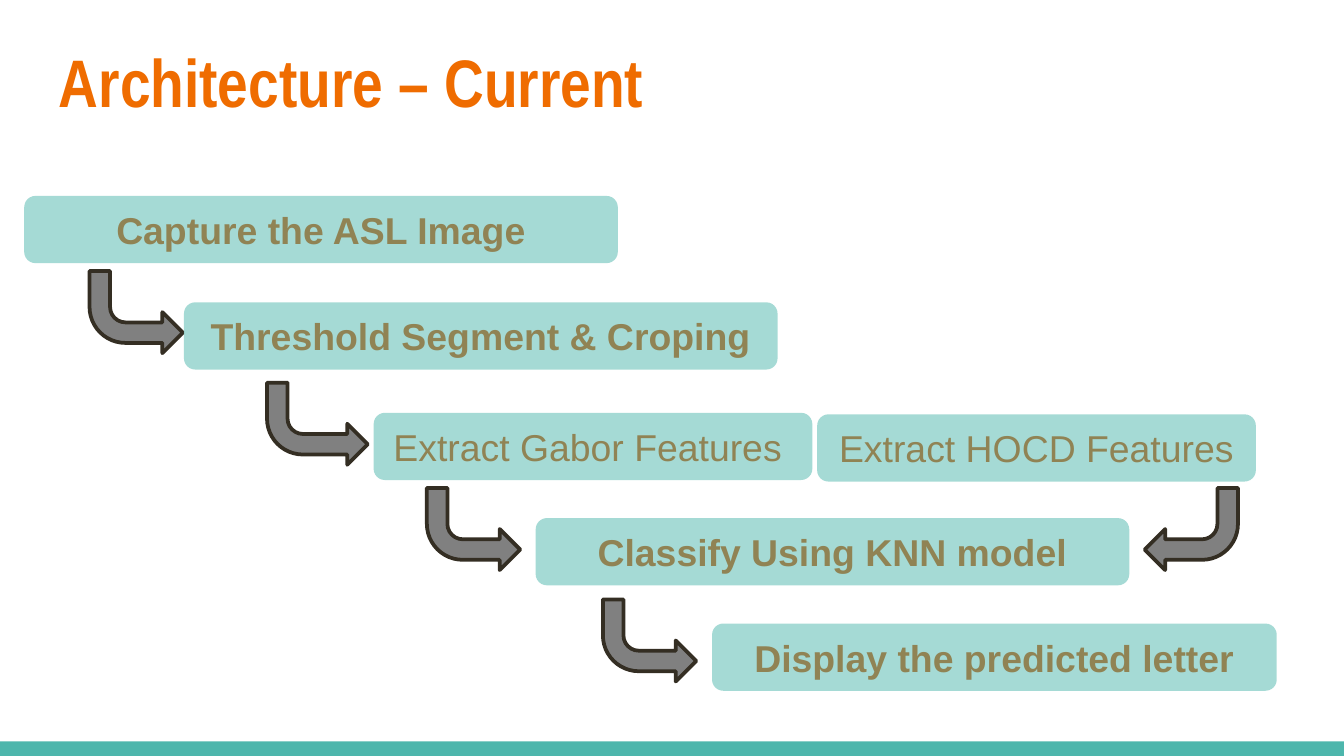
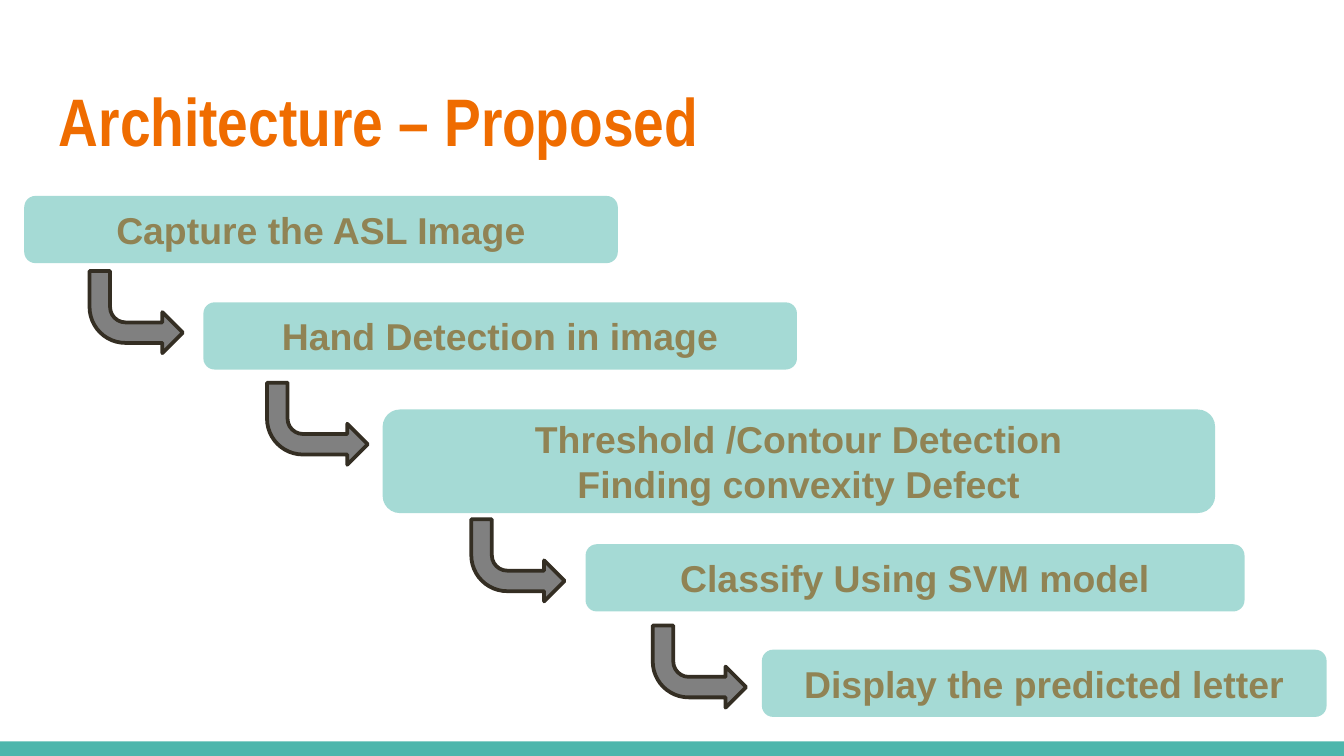
from lxml.etree import SubElement
from pptx import Presentation
from pptx.dml.color import RGBColor
from pptx.enum.shapes import MSO_SHAPE
from pptx.enum.text import MSO_ANCHOR, PP_ALIGN
from pptx.oxml.ns import qn
from pptx.util import Pt

TEAL = RGBColor(0x4D, 0xB6, 0xAC)
ORANGE = RGBColor(0xEF, 0x6C, 0x00)
KHAKI = RGBColor(0x90, 0x83, 0x54)
GRAY = RGBColor(0x80, 0x80, 0x80)
DARK = RGBColor(0x34, 0x2E, 0x23)

WIDTH, HEIGHT, BAND_HEIGHT = 720, 405, 7.8
STEP_WIDTH, STEP_HEIGHT = 318, 36
FEATURE_WIDTH, RESULT_WIDTH = 235, 302.5
ARROW_WIDTH, ARROW_HEIGHT = 50, 44


def write(frame, text, font="Arial", size=20, color=KHAKI, bold=True,
          align=PP_ALIGN.CENTER, anchor=MSO_ANCHOR.MIDDLE):
    """Fill a text frame, one paragraph per line of text."""
    frame.word_wrap = True
    frame.vertical_anchor = anchor
    frame.text = text
    for paragraph in frame.paragraphs:
        paragraph.alignment = align
        paragraph.font.name = font
        paragraph.font.size = Pt(size)
        paragraph.font.bold = bold
        paragraph.font.color.rgb = color


class FlowDeck:
    def __init__(self):
        self.deck = Presentation()
        self.deck.slide_width, self.deck.slide_height = Pt(WIDTH), Pt(HEIGHT)
        self.slide = None

    def start_slide(self, title, title_top):
        self.slide = self.deck.slides.add_slide(self.deck.slide_layouts[6])
        self.shape(MSO_SHAPE.RECTANGLE, 0, HEIGHT - BAND_HEIGHT, WIDTH, BAND_HEIGHT, TEAL)
        heading = self.slide.shapes.add_textbox(Pt(24.5), Pt(title_top), Pt(671), Pt(55.5))
        frame = heading.text_frame
        frame.margin_left = frame.margin_right = Pt(7.2)
        frame.margin_top = frame.margin_bottom = Pt(7.2)
        write(frame, title, font="Arial Narrow", size=36, color=ORANGE,
              align=PP_ALIGN.LEFT, anchor=MSO_ANCHOR.TOP)

    def shape(self, kind, left, top, width, height, fill):
        shape = self.slide.shapes.add_shape(kind, Pt(left), Pt(top), Pt(width), Pt(height))
        shape.shadow.inherit = False
        shape.fill.solid()
        shape.fill.fore_color.rgb = fill
        shape.line.fill.background()
        return shape

    def step(self, text, left, top, width=STEP_WIDTH, height=STEP_HEIGHT, bold=True):
        """Add a half-transparent rounded box for one stage of the pipeline."""
        box = self.shape(MSO_SHAPE.ROUNDED_RECTANGLE, left, top, width, height, TEAL)
        color = box._element.spPr.find(qn("a:solidFill")).find(qn("a:srgbClr"))
        SubElement(color, qn("a:alpha")).set("val", "50000")
        write(box.text_frame, text, bold=bold)

    def arrow(self, left, top, width=ARROW_WIDTH, to_right=True):
        """Add an arrow that runs down and then turns right or left."""
        arrow = self.shape(MSO_SHAPE.BENT_ARROW, left, top, width, ARROW_HEIGHT, GRAY)
        arrow.rotation = 180
        if to_right:
            arrow._element.spPr.xfrm.set("flipH", "1")
        arrow.line.color.rgb = DARK
        arrow.line.width = Pt(2)

    def opening(self, second_step, second_left):
        """Add the first two stages and the arrows that leave them."""
        self.step("Capture the ASL Image", 13, 105)
        self.arrow(48, 145.2)
        self.step(second_step, second_left, 162)
        self.arrow(143, 205, width=54)

    def closing(self, classify_step, left, top, width=STEP_WIDTH):
        """Add the classifier, the result and the arrow between them."""
        self.step(classify_step, left, top, width)
        self.arrow(left + 36, top + 43.5)
        self.step("Display the predicted letter", left + 94.5, top + 56.5, RESULT_WIDTH)


def build_current(flow):
    flow.start_slide("Architecture – Current", 14.4)
    flow.opening("Threshold Segment & Croping", 98.6)
    flow.step("Extract Gabor Features ", 200.2, 221.2, FEATURE_WIDTH, bold=False)
    flow.step("Extract HOCD Features", 437.8, 222, FEATURE_WIDTH, bold=False)
    flow.arrow(228.7, 261.4)
    flow.arrow(613.2, 261.4, to_right=False)
    flow.closing("Classify Using KNN model", 287, 277.6)


def build_proposed(flow):
    flow.start_slide("Architecture – Proposed", 35.3)
    flow.opening("Hand Detection in image", 109)
    flow.step("Threshold /Contour Detection\nFinding convexity Defect",
              205, 219.4, 446, 55.5)
    flow.arrow(252.5, 278.2)
    flow.closing("Classify Using SVM model", 313.7, 291.6, 353)


def main():
    flow = FlowDeck()
    build_current(flow)
    build_proposed(flow)
    flow.deck.save("out.pptx")


if __name__ == "__main__":
    main()
